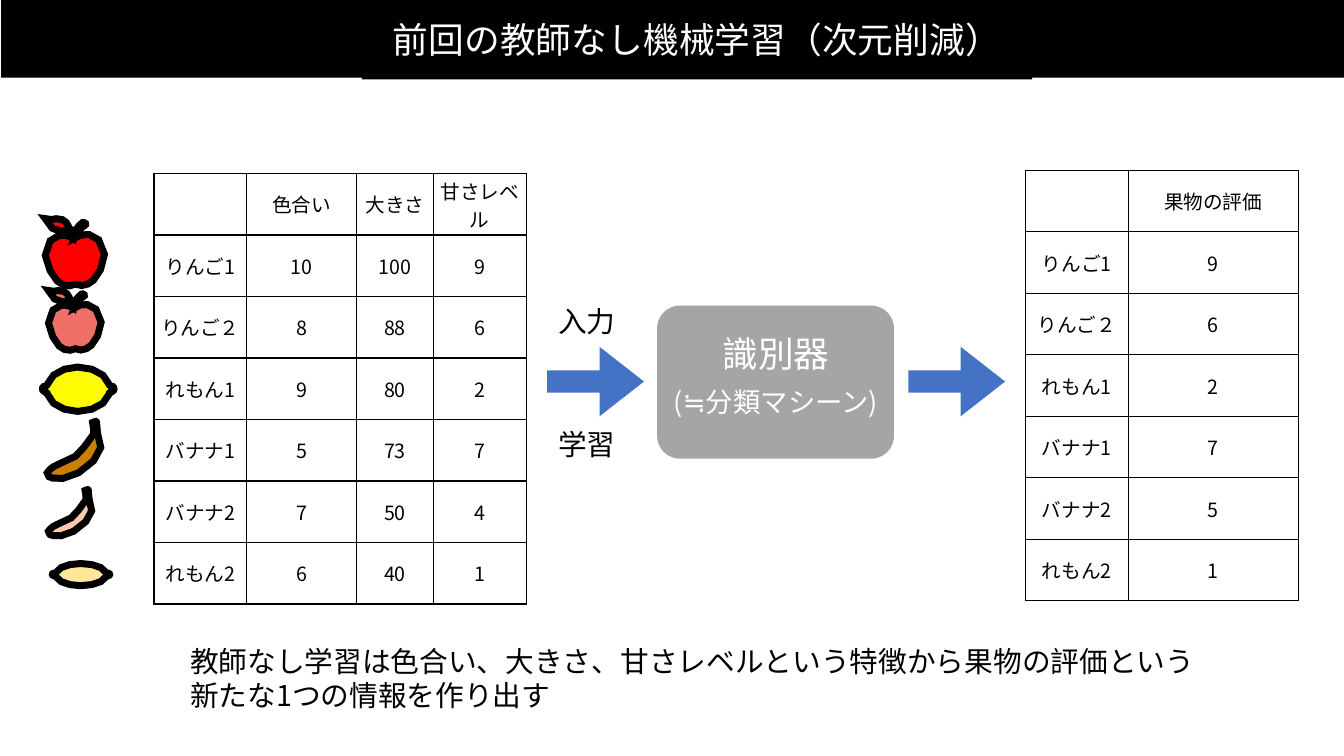
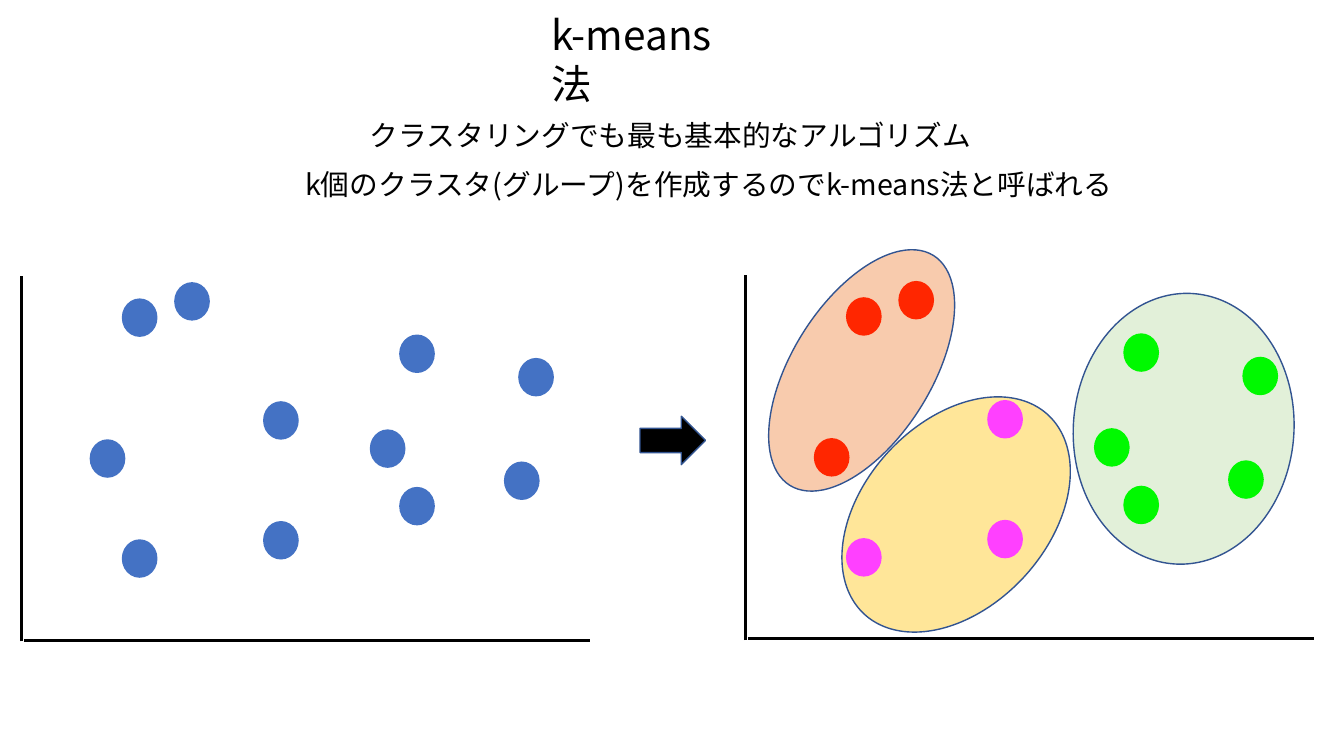
from lxml import etree
from pptx import Presentation
from pptx.dml.color import RGBColor
from pptx.enum.shapes import MSO_CONNECTOR, MSO_SHAPE
from pptx.enum.text import MSO_ANCHOR, MSO_AUTO_SIZE, PP_ALIGN
from pptx.oxml.ns import qn
from pptx.util import Cm, Pt

RECTANGLE = MSO_SHAPE.RECTANGLE
ROUNDED = MSO_SHAPE.ROUNDED_RECTANGLE
OVAL = MSO_SHAPE.OVAL
RIGHT_ARROW = MSO_SHAPE.RIGHT_ARROW
STRAIGHT = MSO_CONNECTOR.STRAIGHT
LEFT, CENTER = PP_ALIGN.LEFT, PP_ALIGN.CENTER
MIDDLE = MSO_ANCHOR.MIDDLE
GROW = MSO_AUTO_SIZE.SHAPE_TO_FIT_TEXT

FONT = "Noto Sans CJK JP"
BLACK, WHITE = "000000", "FFFFFF"
BLUE, GRAY, OUTLINE = "4472C4", "A5A5A5", "325491"
RED, GREEN, PINK = "FF2600", "00F900", "FF40FF"
PEACH, CREAM, MINT = "F8CBAD", "FFE699", "E2F0D9"
INSET = Cm(0.07)
TITLE_ONLY = 5

# Fruit outlines in hundredths of an inch: a start point, then Bezier curves
APPLE = [(0, 0),
         (5, 13, 17, 15, 24, 11), (25, 12, 27, 13, 29, 16),
         (29, 17, 28, 18, 28, 20), (24, 17, 15, 12, 5, 22),
         (-7, 34, 6, 56, 12, 62), (17, 67, 25, 68, 30, 65),
         (36, 68, 43, 66, 48, 61), (54, 55, 66, 33, 53, 21),
         (43, 12, 34, 16, 30, 19), (32, 14, 35, 9, 40, 6),
         (41, 5, 38, 3, 37, 4), (33, 7, 31, 10, 29, 14),
         (27, 12, 25, 10, 24, 10), (23, 8, 22, 3, 17, 1),
         (9, -2, 8, 3, 0, 0)]
LEMON = [(35, 0),
         (21, 0, 8, 7, 5, 17), (5, 18, 4, 18, 3, 19),
         (1, 19, 0, 20, 0, 22), (0, 23, 1, 24, 3, 25),
         (4, 25, 5, 26, 5, 27), (8, 37, 21, 44, 35, 44),
         (50, 44, 63, 37, 66, 27), (66, 26, 67, 25, 68, 25),
         (70, 24, 71, 23, 71, 22), (71, 20, 70, 19, 68, 19),
         (67, 18, 66, 18, 66, 17), (63, 7, 50, 0, 35, 0)]
BANANA = [(48, 0),
          (47, 0, 45, 1, 45, 1), (47, 10, 46, 13, 45, 14),
          (33, 28, 36, 34, 10, 43), (5, 45, 2, 48, 0, 51),
          (1, 54, 2, 55, 2, 55), (2, 55, 13, 61, 31, 51),
          (49, 40, 59, 26, 50, 12), (50, 12, 49, 3, 49, 1),
          (49, 0, 48, 0, 48, 0)]


def color(value):
    return RGBColor.from_string(value)


def write(frame, text, size=20.5, ink=BLACK, align=LEFT):
    """Write one paragraph for each line of text."""
    frame.word_wrap = True
    for index, line in enumerate(text.split("\n")):
        paragraph = frame.add_paragraph() if index else frame.paragraphs[0]
        paragraph.alignment = align
        run = paragraph.add_run()
        run.text = line
        run.font.size = Pt(size)
        run.font.name = FONT
        run.font.color.rgb = color(ink)
        east_asian = etree.SubElement(run.font._element, qn("a:ea"))
        east_asian.set("typeface", FONT)


def set_insets(target):
    target.margin_left = target.margin_right = INSET
    target.margin_top = target.margin_bottom = INSET
    target.vertical_anchor = MIDDLE


def curve_points(outline, steps=3):
    """Return points along the outline, in thousandths of an inch."""
    points = [outline[0]]
    for x1, y1, x2, y2, x3, y3 in outline[1:]:
        x0, y0 = points[-1]
        for step in range(1, steps + 1):
            t = step / steps
            a, b, c, d = (1 - t)**3, 3 * t * (1 - t)**2, 3 * t**2 * (1 - t), t**3
            points.append((a * x0 + b * x1 + c * x2 + d * x3,
                           a * y0 + b * y1 + c * y2 + d * y3))
    return [(10 * x, 10 * y) for x, y in points]


class Deck:
    def __init__(self):
        self.presentation = Presentation()
        self.presentation.slide_width = Cm(33.87)
        self.presentation.slide_height = Cm(19.05)
        self.slide = None

    def new_slide(self):
        layout = self.presentation.slide_layouts[TITLE_ONLY]
        self.slide = self.presentation.slides.add_slide(layout)

    def place_text(self, shape, box, text, **style):
        shape.left, shape.top, shape.width, shape.height = map(Cm, box)
        shape.text_frame.auto_size = GROW
        set_insets(shape.text_frame)
        write(shape.text_frame, text, **style)

    def title(self, text, *box, band=False, **style):
        title = self.slide.shapes.title
        self.place_text(title, box, text, **style)
        if band:
            title.fill.solid()
            title.fill.fore_color.rgb = color(BLACK)
            band_shape = self.shape(RECTANGLE, 0.03, 0, 33.87, 1.96, BLACK)
            title.element.addprevious(band_shape.element)

    def text(self, text, *box, **style):
        shape = self.slide.shapes.add_textbox(*map(Cm, box))
        self.place_text(shape, box, text, **style)

    def paint(self, shape, fill, line=None, width=1):
        shape.shadow.inherit = False
        shape.fill.solid()
        shape.fill.fore_color.rgb = color(fill)
        if line:
            shape.line.color.rgb = color(line)
            shape.line.width = Pt(width)
        else:
            shape.line.fill.background()

    def shape(self, kind, left, top, width, height, fill, line=None,
              rotation=0, adjustments=()):
        shape = self.slide.shapes.add_shape(
            kind, Cm(left), Cm(top), Cm(width), Cm(height))
        shape.rotation = rotation
        for index, value in enumerate(adjustments):
            shape.adjustments[index] = value
        self.paint(shape, fill, line)
        return shape

    def fruit(self, outline, left, top, fill, scale_x=1, scale_y=1):
        unit = Cm(0.0254) / 10
        points = curve_points(outline)
        builder = self.slide.shapes.build_freeform(
            *points[0], scale=(unit * scale_x, unit * scale_y))
        builder.add_line_segments(points[1:], close=True)
        shape = builder.convert_to_shape(Cm(left), Cm(top))
        self.paint(shape, fill, BLACK, 5)
        # Sharp corners at the leaf tips
        outline_format = shape.element.spPr.find(qn("a:ln"))
        etree.SubElement(outline_format, qn("a:miter"), lim="800000")

    def line(self, x1, y1, x2, y2):
        connector = self.slide.shapes.add_connector(
            STRAIGHT, Cm(x1), Cm(y1), Cm(x2), Cm(y2))
        connector.line.color.rgb = color(BLACK)
        connector.line.width = Pt(2)
        etree.SubElement(connector.element.spPr, qn("a:effectLst"))

    def table(self, left, top, widths, row_height, rows):
        table = self.slide.shapes.add_table(
            len(rows), len(widths), Cm(left), Cm(top),
            Cm(sum(widths)), Cm(row_height * len(rows))).table
        table.first_row = table.horz_banding = False
        for column, width in zip(table.columns, widths):
            column.width = Cm(width)
        for table_row, values in zip(table.rows, rows):
            table_row.height = Cm(row_height)
            for cell, value in zip(table_row.cells, values):
                self.cell(cell, value)

    def cell(self, cell, value):
        set_insets(cell)
        if value:
            write(cell.text_frame, value, size=14, align=CENTER)
        properties = cell._tc.get_or_add_tcPr()
        for side in ("a:lnL", "a:lnR", "a:lnT", "a:lnB"):
            border = etree.SubElement(properties, qn(side), w=str(Pt(1)))
            fill = etree.SubElement(border, qn("a:solidFill"))
            etree.SubElement(fill, qn("a:srgbClr"), val=BLACK)
        cell.fill.background()


def build_reduction_slide(deck):
    deck.new_slide()
    deck.title("前回の教師なし機械学習（次元削減）", 9.12, 0.38, 16.89, 1.24,
               band=True, size=25.5, ink=WHITE, align=CENTER)

    # Feature table and evaluation table share the fruit names
    fruits = [("りんご1", "10", "100", "9", "9"),
              ("りんご２", "8", "88", "6", "6"),
              ("れもん1", "9", "80", "2", "2"),
              ("バナナ1", "5", "73", "7", "7"),
              ("バナナ2", "7", "50", "4", "5"),
              ("れもん2", "6", "40", "1", "1")]
    features = [("", "色合い", "大きさ", "甘さレベル")]
    features += [row[:4] for row in fruits]
    scores = [("", "果物の評価")] + [(row[0], row[4]) for row in fruits]
    deck.table(3.88, 4.37, (2.34, 2.77, 1.93, 2.34), 1.55, features)
    deck.table(25.84, 4.29, (2.59, 4.29), 1.55, scores)

    # Fruits beside the rows
    deck.fruit(APPLE, 1.14, 5.51, "FF0000")
    deck.fruit(APPLE, 1.22, 7.32, "EE7066", 0.89, 0.89)
    deck.fruit(LEMON, 1.07, 9.25, "FFFB00")
    deck.fruit(BANANA, 1.19, 10.62, "CB7F00")
    deck.fruit(BANANA, 1.22, 12.34, PEACH, 0.81, 0.81)
    deck.fruit(LEMON, 1.32, 14.2, CREAM, 0.8, 0.5)

    # Classifier with its input and output
    for left in (13.79, 22.89):
        deck.shape(RIGHT_ARROW, left, 8.74, 2.44, 1.75, BLUE,
                   adjustments=(0.32, 0.64))
    deck.shape(ROUNDED, 16.56, 7.7, 5.97, 3.86, GRAY, adjustments=(0.15,))
    deck.text("識別器", 15.44, 8.28, 8.23, 1.24,
              size=25.5, ink=WHITE, align=CENTER)
    deck.text("(≒分類マシーン)", 15.44, 9.63, 8.23, 0.97,
              size=19.5, ink=WHITE, align=CENTER)
    deck.text("入力", 14, 7.57, 1.65, 1.02)
    deck.text("学習", 14, 10.67, 1.65, 1.02)
    deck.text("教師なし学習は色合い、大きさ、甘さレベルという特徴から"
              "果物の評価という\n新たな1つの情報を作り出す",
              4.72, 16.13, 25.7, 1.9)


def build_clustering_slide(deck):
    deck.new_slide()
    deck.title("k-means 法", 13.82, 0.79, 5.4, 1.37, size=29)
    deck.text("クラスタリングでも最も基本的なアルゴリズム",
              9.25, 2.9, 15.47, 1.02)
    deck.text("k個のクラスタ(グループ)を作成するのでk-means法と呼ばれる",
              7.62, 4.14, 20.8, 1.02)

    # Cluster areas
    clusters = [(27.05, 7.39, 5.56, MINT, 4.1),
                (21.77, 9.55, 4.65, CREAM, 42.7),
                (19.96, 5.92, 3.51, PEACH, 32)]
    for left, top, width, fill, rotation in clusters:
        deck.shape(OVAL, left, top, width, 6.83, fill, OUTLINE, rotation)

    # The same points before and after clustering
    points = [(4.39, 7.11, RED), (3.07, 7.52, RED), (2.26, 11.07, RED),
              (10.06, 8.43, GREEN), (6.63, 10.11, PINK),
              (13.06, 9.02, GREEN), (10.06, 12.27, GREEN),
              (6.63, 13.13, PINK), (12.7, 11.63, GREEN),
              (9.32, 10.82, GREEN), (3.07, 13.59, PINK)]
    for shift_x, shift_y, clustered in ((0, 0, False), (18.25, -0.03, True)):
        bottom = 16.13 + shift_y
        deck.line(0.54 + shift_x, bottom + 0.03, 0.54 + shift_x, 6.96 + shift_y)
        deck.line(0.61 + shift_x, bottom, 14.86 + shift_x, bottom)
        for left, top, group in points:
            deck.shape(OVAL, left + shift_x, top + shift_y, 0.9, 0.97,
                       group if clustered else BLUE)
    deck.shape(RIGHT_ARROW, 16.13, 10.49, 1.65, 1.22, BLACK, OUTLINE)


def main():
    deck = Deck()
    build_reduction_slide(deck)
    build_clustering_slide(deck)
    deck.presentation.save("out.pptx")


if __name__ == "__main__":
    main()
